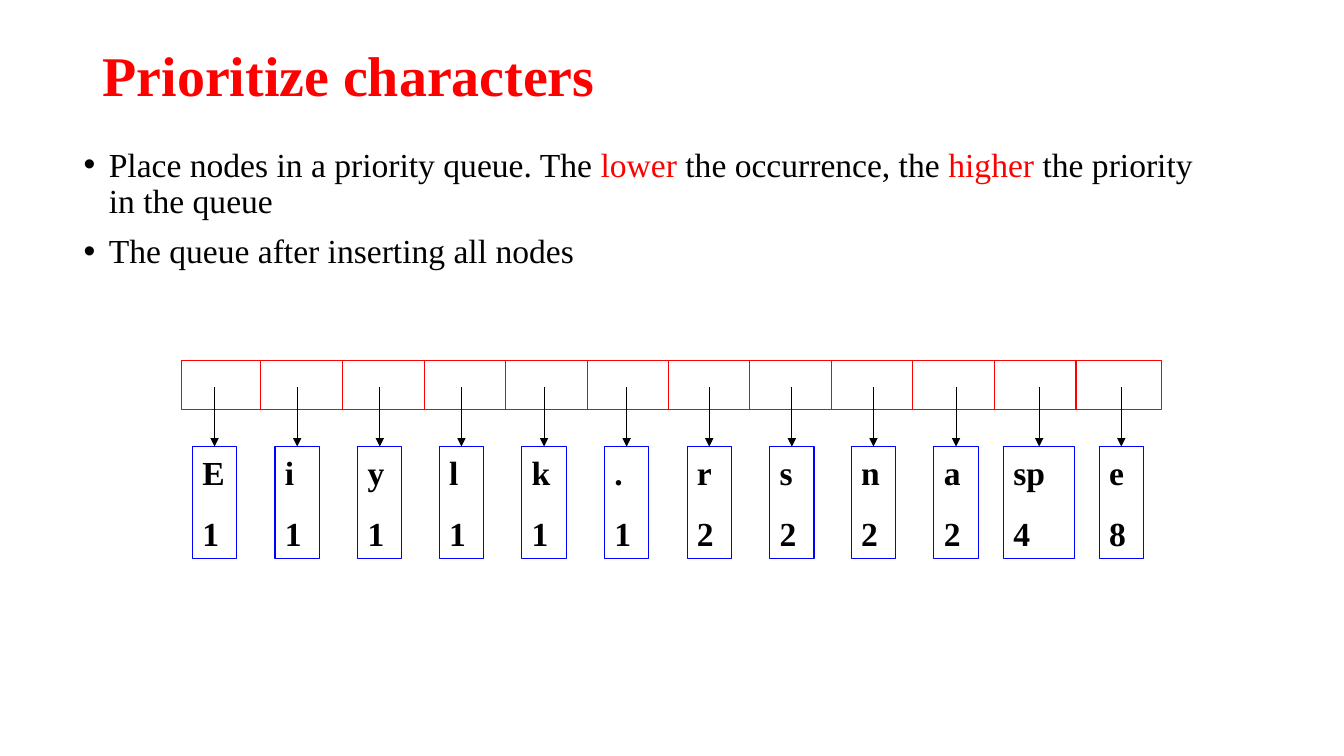
import pptx
import pptx.dml.color
import pptx.enum.shapes
import pptx.enum.text
import pptx.oxml.ns
import pptx.util
from lxml import etree

PX = 9144
FONT = "Times New Roman"
RED = pptx.dml.color.RGBColor(0xFF, 0x00, 0x00)
BLUE = pptx.dml.color.RGBColor(0x00, 0x00, 0xFF)
BLACK = pptx.dml.color.RGBColor(0x00, 0x00, 0x00)
WHITE = pptx.dml.color.RGBColor(0xFF, 0xFF, 0xFF)

TITLE = "Prioritize characters"
BULLETS = [
    [
        ("Place nodes in a priority queue. The ", BLACK),
        ("lower", RED),
        (" the occurrence, the ", BLACK),
        ("higher ", RED),
        ("the priority in the queue", BLACK),
    ],
    [("The queue after inserting all nodes", BLACK)],
]
NODES = [
    ("E", 1), ("i", 1), ("y", 1), ("l", 1), ("k", 1), (".", 1),
    ("r", 2), ("s", 2), ("n", 2), ("a", 2), ("sp", 4), ("e", 8),
]

QUEUE_LEFT, QUEUE_TOP, QUEUE_WIDTH, QUEUE_HEIGHT = 180, 358, 973, 48
FIRST_DIVIDER, DIVIDER_PITCH = 259, 80.9
ARROW_TOP = 384
NODE_TOP, NODE_HEIGHT = 443, 111
NODE_WIDTH, WIDE_NODE_WIDTH = 44, 71
FIRST_NODE_CENTER, NODE_PITCH = 213, 81.8


def px(length):
    return pptx.util.Emu(round(length) * PX)


def add_text(paragraph, text, size=24, color=BLACK, bold=False):
    run = paragraph.add_run()
    run.text = text
    run.font.name = FONT
    run.font.size = pptx.util.Pt(size)
    run.font.bold = bold
    run.font.color.rgb = color


def place(shape, left, top, width, height):
    shape.left, shape.top = px(left), px(top)
    shape.width, shape.height = px(width), px(height)


def fill_title(title):
    place(title, 92, 40, 1150, 75)
    title.text_frame.auto_size = pptx.enum.text.MSO_AUTO_SIZE.NONE
    title.text_frame.vertical_anchor = pptx.enum.text.MSO_ANCHOR.MIDDLE
    paragraph = title.text_frame.paragraphs[0]
    paragraph.alignment = pptx.enum.text.PP_ALIGN.LEFT
    paragraph.line_spacing = 0.9
    add_text(paragraph, TITLE, size=40, color=RED, bold=True)


def fill_bullets(body):
    place(body, 73, 142, 1141, 526)
    frame = body.text_frame
    frame.auto_size = pptx.enum.text.MSO_AUTO_SIZE.NONE
    for index, runs in enumerate(BULLETS):
        paragraph = frame.add_paragraph() if index else frame.paragraphs[0]
        properties = paragraph._p.get_or_add_pPr()
        properties.set("marL", str(px(25)))
        properties.set("indent", str(px(-25)))
        paragraph.line_spacing = 0.9
        paragraph.space_before = pptx.util.Pt(10 if index else 0)
        for text, color in runs:
            add_text(paragraph, text, color=color)


def add_box(slide, left, top, width, height, line_color):
    box = slide.shapes.add_shape(
        pptx.enum.shapes.MSO_SHAPE.RECTANGLE,
        px(left), px(top), px(width), px(height),
    )
    box.shadow.inherit = False
    box.fill.solid()
    box.fill.fore_color.rgb = WHITE
    box.line.color.rgb = line_color
    box.line.width = pptx.util.Pt(0.75)
    return box


def add_vertical_line(slide, x, top, bottom, color):
    line = slide.shapes.add_connector(
        pptx.enum.shapes.MSO_CONNECTOR.STRAIGHT, x, px(top), x, px(bottom)
    )
    line.line.color.rgb = color
    line.line.width = pptx.util.Pt(0.75)
    etree.SubElement(line._element.spPr, pptx.oxml.ns.qn("a:effectLst"))
    return line


def add_queue(slide):
    add_box(slide, QUEUE_LEFT, QUEUE_TOP, QUEUE_WIDTH, QUEUE_HEIGHT, RED)
    for index in range(len(NODES) - 1):
        x = px(FIRST_DIVIDER + index * DIVIDER_PITCH)
        add_vertical_line(slide, x, QUEUE_TOP, QUEUE_TOP + QUEUE_HEIGHT, RED)


def add_node(slide, center, character, count):
    width = WIDE_NODE_WIDTH if len(character) > 1 else NODE_WIDTH
    node = add_box(slide, center - width / 2, NODE_TOP, width, NODE_HEIGHT, BLUE)
    node.fill.background()
    frame = node.text_frame
    frame.word_wrap = True
    frame.vertical_anchor = pptx.enum.text.MSO_ANCHOR.MIDDLE
    for index, text in enumerate((character, str(count))):
        paragraph = frame.add_paragraph() if index else frame.paragraphs[0]
        paragraph.alignment = pptx.enum.text.PP_ALIGN.LEFT
        paragraph.space_before = pptx.util.Pt(15 if index else 0)
        add_text(paragraph, text, bold=True)
    return node


def add_arrow(slide, node):
    x = node.left + node.width // 2
    arrow = add_vertical_line(slide, x, ARROW_TOP, NODE_TOP, BLACK)
    arrow.end_connect(node, 0)
    tail = etree.SubElement(
        arrow.line._get_or_add_ln(), pptx.oxml.ns.qn("a:tailEnd")
    )
    tail.set("type", "triangle")


def main():
    presentation = pptx.Presentation()
    presentation.slide_width, presentation.slide_height = px(1334), px(750)
    slide = presentation.slides.add_slide(presentation.slide_layouts[1])
    fill_title(slide.shapes.title)
    fill_bullets(slide.placeholders[1])
    add_queue(slide)
    for index, (character, count) in enumerate(NODES):
        center = FIRST_NODE_CENTER + index * NODE_PITCH
        node = add_node(slide, center, character, count)
        add_arrow(slide, node)
    presentation.save("out.pptx")


if __name__ == "__main__":
    main()
